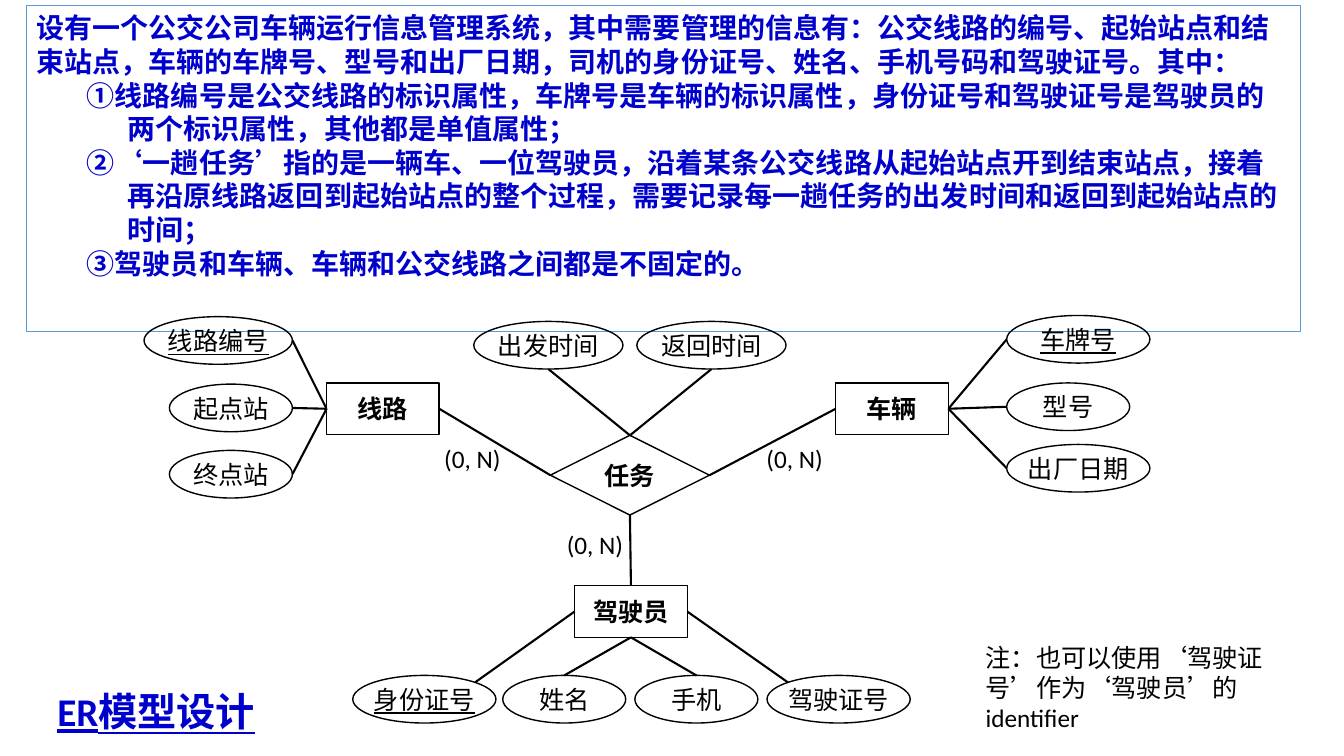
from lxml import etree
from pptx import Presentation
from pptx.dml.color import RGBColor
from pptx.enum.shapes import MSO_CONNECTOR, MSO_SHAPE
from pptx.enum.text import MSO_ANCHOR, PP_ALIGN
from pptx.oxml.ns import qn
from pptx.util import Cm, Pt

STRAIGHT = MSO_CONNECTOR.STRAIGHT
ELLIPSE, RECTANGLE, DIAMOND = MSO_SHAPE.OVAL, MSO_SHAPE.RECTANGLE, MSO_SHAPE.DIAMOND
MIDDLE = MSO_ANCHOR.MIDDLE
LEFT, CENTER = PP_ALIGN.LEFT, PP_ALIGN.CENTER

COLORS = {"ink": "000000", "blue": "0000CC", "frame": "5B9BD5"}
FONT = "Calibri"

REQUIREMENT = (
    "设有一个公交公司车辆运行信息管理系统，其中需要管理的信息有：公交线路的编号、起始站点和结束站点，"
    "车辆的车牌号、型号和出厂日期，司机的身份证号、姓名、手机号码和驾驶证号。其中："
)
RULES = [
    "①线路编号是公交线路的标识属性，车牌号是车辆的标识属性，身份证号和驾驶证号是驾驶员的两个标识属性，其他都是单值属性；",
    "②‘一趟任务’指的是一辆车、一位驾驶员，沿着某条公交线路从起始站点开到结束站点，接着再沿原线路返回到起始站点的整个过程，"
    "需要记录每一趟任务的出发时间和返回到起始站点的时间；",
    "③驾驶员和车辆、车辆和公交线路之间都是不固定的。",
]
TITLE = "ER模型设计"
NOTE = "注：也可以使用‘驾驶证号’作为‘驾驶员’的 identifier"

ENTITY_SIZE = (2.84, 1.3)
TASK = ("任务", 13.87, 10.97, 4.01, 2.01)
ENTITIES = {"线路": (8.23, 9.65), "车辆": (21.06, 9.65), "驾驶员": (14.48, 14.76)}

ATTRIBUTE_HEIGHT = 1.2
ATTRIBUTES = [
    ("出发时间", 11.94, 8.1, 3.76, "bottom", "任务", "top"),
    ("返回时间", 16.05, 8.1, 3.76, "bottom", "任务", "top"),
    ("线路编号", 3.63, 7.98, 3.74, "right", "线路", "left"),
    ("起点站", 4.27, 9.68, 3.1, "right", "线路", "left"),
    ("终点站", 4.27, 11.35, 3.1, "right", "线路", "left"),
    ("车牌号", 25.37, 7.95, 3.61, "left", "车辆", "right"),
    ("型号", 25.37, 9.65, 3.1, "left", "车辆", "right"),
    ("出厂日期", 25.37, 11.2, 3.61, "left", "车辆", "right"),
    ("身份证号", 8.89, 17.02, 3.61, "upper right", "驾驶员", "left"),
    ("姓名", 12.67, 17.02, 3.1, "top", "驾驶员", "bottom"),
    ("手机", 16.0, 17.02, 3.1, "top", "驾驶员", "bottom"),
    ("驾驶证号", 19.33, 17.02, 3.61, "upper left", "驾驶员", "right"),
]
IDENTIFIERS = {"线路编号", "车牌号", "身份证号"}
RELATIONS = [("线路", "right", "left"), ("车辆", "left", "right"), ("驾驶员", "top", "bottom")]
CARDINALITY = "(0, N)"
CARDINALITY_PLACES = [(13.89, 13.21), (10.8, 11.05), (18.92, 11.05)]

ANCHORS = {
    "left": (0, 0.5), "right": (1, 0.5), "top": (0.5, 0), "bottom": (0.5, 1),
    "upper left": (0.146, 0.146), "upper right": (0.854, 0.146),
}


def color(name):
    return RGBColor.from_string(COLORS[name])


def style_paragraph(paragraph, text, size=18, ink="ink", bold=False, underline=False, align=CENTER):
    paragraph.text = text
    paragraph.alignment = align
    font = paragraph.font
    font.name, font.size = FONT, Pt(size)
    font.bold, font.underline = bold, underline
    font.color.rgb = color(ink)


def add_text(slide, text, left, top, width, height, **style):
    box = slide.shapes.add_textbox(Cm(left), Cm(top), Cm(width), Cm(height))
    box.text_frame.word_wrap = True
    style_paragraph(box.text_frame.paragraphs[0], text, **style)
    return box


def add_node(slide, kind, text, left, top, width, height, **style):
    shape = slide.shapes.add_shape(kind, Cm(left), Cm(top), Cm(width), Cm(height))
    shape.shadow.inherit = False
    shape.fill.background()
    shape.line.color.rgb = color("ink")
    shape.line.width = Pt(1)
    frame = shape.text_frame
    frame.vertical_anchor = MIDDLE
    frame.margin_left = frame.margin_right = frame.margin_top = frame.margin_bottom = 0
    style_paragraph(frame.paragraphs[0], text, **style)
    return shape


def anchor_point(shape, side):
    across, down = ANCHORS[side]
    return round(shape.left + shape.width * across), round(shape.top + shape.height * down)


def connect(slide, first, first_side, second, second_side):
    start, end = anchor_point(first, first_side), anchor_point(second, second_side)
    line = slide.shapes.add_connector(STRAIGHT, *start, *end)
    line.line.color.rgb = color("ink")
    line.line.width = Pt(1.5)
    etree.SubElement(line._element.spPr, qn("a:effectLst"))


def add_requirements(slide):
    box = add_text(slide, REQUIREMENT, 0.66, 0.15, 32.11, 8.2, size=20, ink="blue", bold=True, align=LEFT)
    box.line.color.rgb = color("frame")
    box.line.width = Pt(0.75)
    for rule in RULES:
        paragraph = box.text_frame.add_paragraph()
        style_paragraph(paragraph, rule, size=20, ink="blue", bold=True, align=LEFT)
        paragraph.level = 1
        properties = paragraph._p.get_or_add_pPr()
        properties.set("marL", str(Cm(2.31)))
        properties.set("indent", str(Cm(-1.03)))


def add_diagram(slide):
    nodes = {
        name: add_node(slide, RECTANGLE, name, *place, *ENTITY_SIZE, bold=True)
        for name, place in ENTITIES.items()
    }
    task = nodes[TASK[0]] = add_node(slide, DIAMOND, *TASK, bold=True)
    for name, left, top, width, side, owner, owner_side in ATTRIBUTES:
        attribute = add_node(
            slide, ELLIPSE, name, left, top, width, ATTRIBUTE_HEIGHT, underline=name in IDENTIFIERS
        )
        connect(slide, attribute, side, nodes[owner], owner_side)
    for entity, entity_side, task_side in RELATIONS:
        connect(slide, nodes[entity], entity_side, task, task_side)
    for left, top in CARDINALITY_PLACES:
        box = add_text(slide, CARDINALITY, left, top, 2.21, 1.14)
        box.text_frame.word_wrap = False


def main():
    presentation = Presentation()
    presentation.slide_width, presentation.slide_height = Cm(33.87), Cm(19.05)
    slide = presentation.slides.add_slide(presentation.slide_layouts[6])
    add_requirements(slide)
    add_diagram(slide)
    add_text(slide, TITLE, 0.66, 17.2, 6.55, 1.45, size=28, ink="blue", bold=True, underline=True)
    add_text(slide, NOTE, 24.59, 16.05, 8.76, 1.85, align=LEFT)
    presentation.save("out.pptx")


if __name__ == "__main__":
    main()
